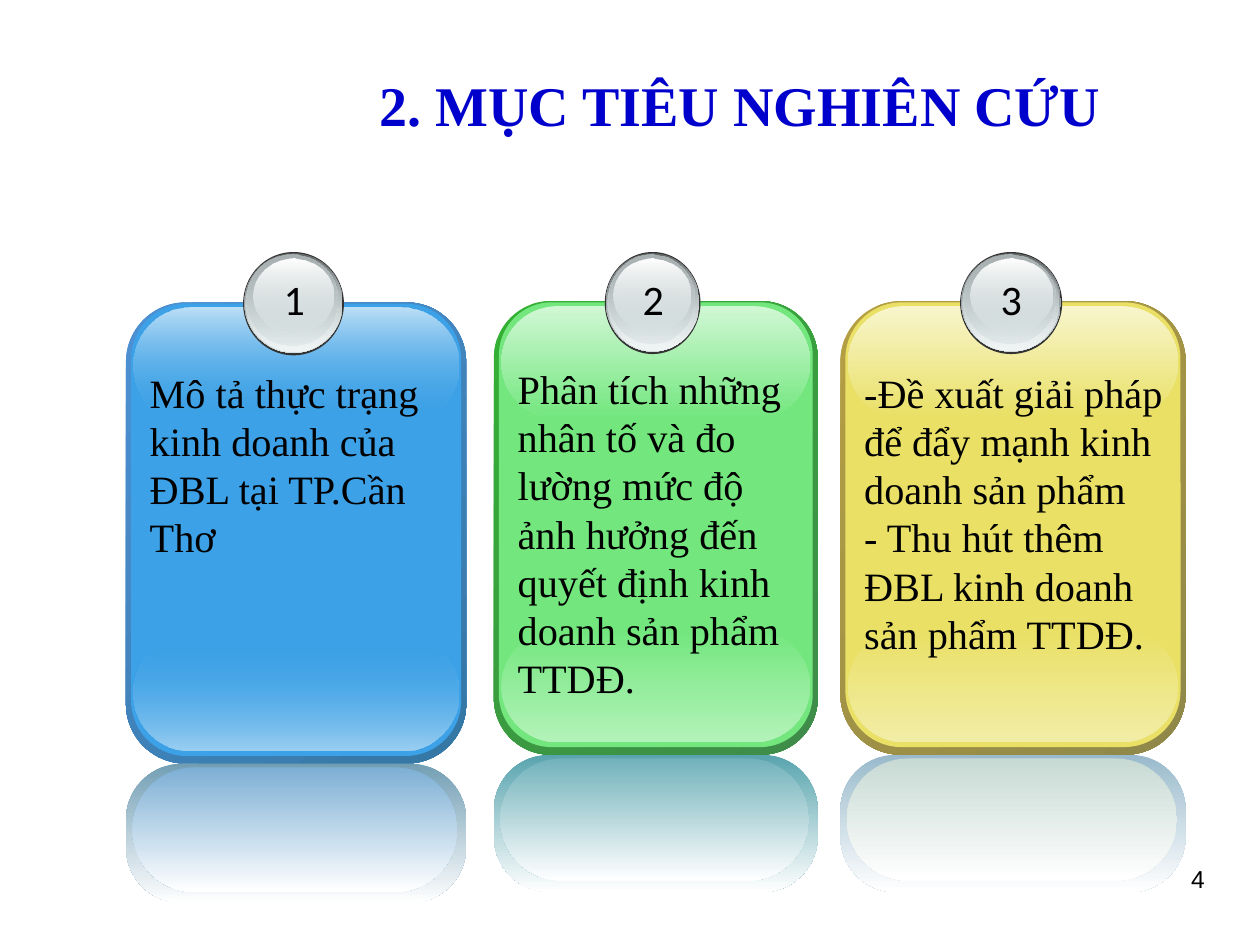
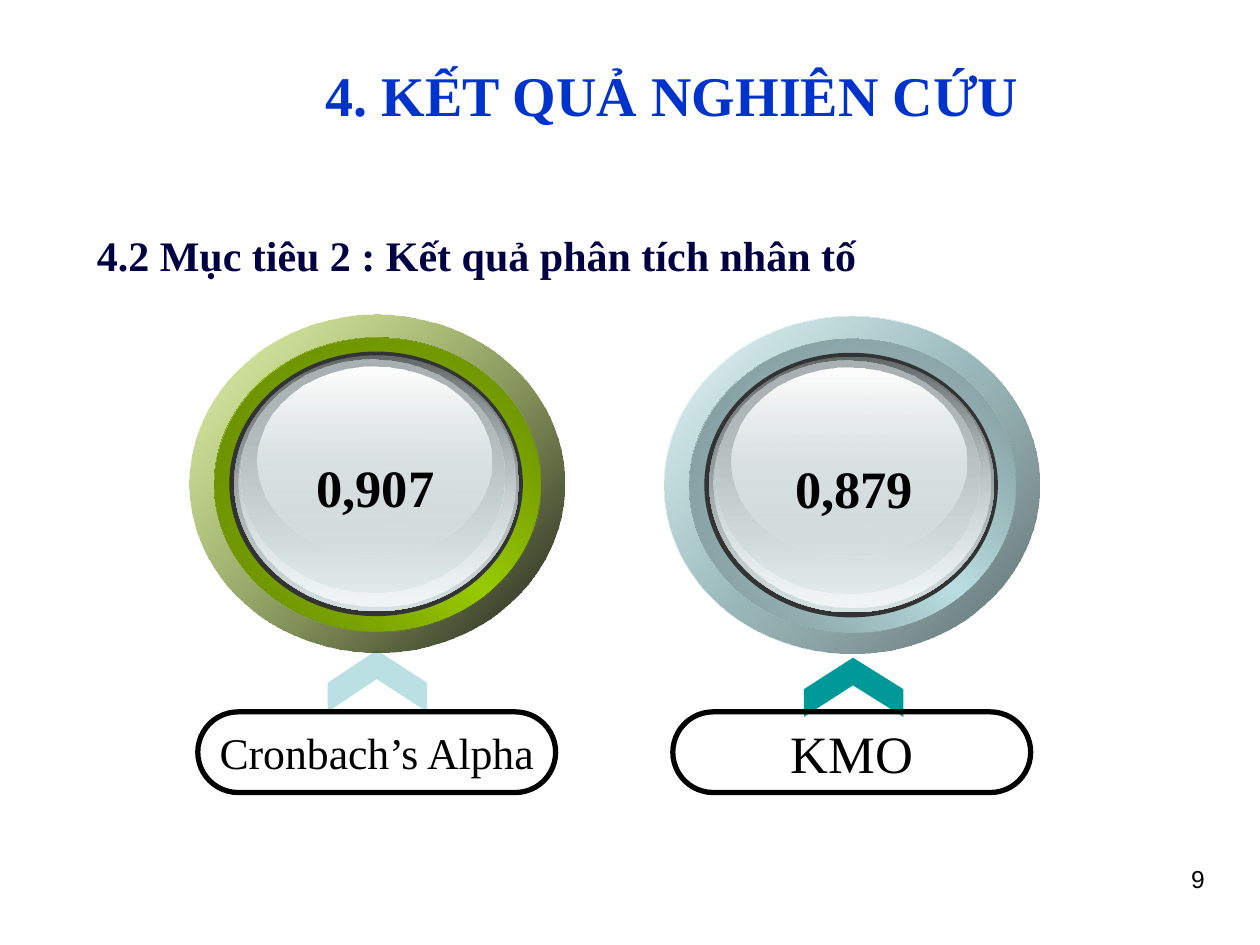
from lxml.etree import SubElement
from pptx import Presentation
from pptx.dml.color import RGBColor
from pptx.enum.shapes import MSO_SHAPE as Preset
from pptx.enum.text import MSO_ANCHOR as Anchor, MSO_AUTO_SIZE as AutoSize, PP_ALIGN as Align
from pptx.oxml.ns import qn
from pptx.util import Emu, Pt

PX = 9144
SERIF = "Times New Roman"
BLACK = "000000"
WHITE = "FFFFFF"
SILVER = "D6E1E2"
CHARCOAL = "333333"

ORB_LAYERS = [
    ((0, 0, 1, 1), CHARCOAL),
    ((0.017, 0.014, 0.97, 0.967), ["636869", SILVER]),
    ((0.03, 0.019, 0.944, 0.943), [(SILVER, 0), "F1F5F5"]),
    ((0.039, 0.029, 0.897, 0.881), ["AAB2B3", (SILVER, 48)]),
    ((0.094, 0.057, 0.798, 0.714), [WHITE, (SILVER, 38)]),
]

CARDS = [
    dict(
        box=(100, 240, 270, 366), orb=(193, 200, 80, 82), text_top=287, text_width=257,
        lines=["Mô tả thực trạng kinh doanh của ĐBL tại TP.Cần Thơ"],
        rim=["4E91D4", "3477A4"], face="3CA1E6", face_alpha=0,
        shine="BEE0F7", glow="9BCFF2", mirrors=("729EB4", "7DAFD4"),
    ),
    dict(
        box=(392, 239, 257, 360), orb=(480, 200, 76, 81), text_top=284, text_width=245,
        lines=["Phân tích những nhân tố và đo lường mức độ ảnh hưởng đến "
               "quyết định kinh doanh sản phẩm TTDĐ."],
        rim=["34B034", "3F8B4A"], face="73E77E", face_alpha=100,
        shine="D0F7D4", glow="B3F2B9", mirrors=("58A4AE", "72B2BB"),
    ),
    dict(
        box=(667, 239, 274, 360), orb=(762, 200, 81, 81), text_top=287, text_width=265,
        lines=["-Đề xuất giải pháp để đẩy mạnh kinh doanh sản phẩm",
               "- Thu hút thêm ĐBL kinh doanh sản phẩm TTDĐ."],
        rim=["B59F43", "8F8849"], face="E9E065", face_alpha=100,
        shine="F8F5CC", glow="F2EDA6", mirrors=("99BACC", "C8DAD4"),
    ),
]

GAUGES = [
    dict(
        left=150, top=250, value="0,907", value_center=298, label="Cronbach’s Alpha", label_size=25,
        chevron=(260, 516, 49, 23), chevron_color="BBE0E3",
        halos=[[("99CC00", 32), (BLACK, 90)]],
        bands=[["536E00", "99CC00", "536E00"], ["618200", ("99CC00", 0)]],
    ),
    dict(
        left=527, top=251, value="0,879", value_center=678, label="KMO", label_size=30,
        chevron=(638, 522, 47, 22), chevron_color="009999",
        halos=[[WHITE, "BBE0E3", WHITE], [("BBE0E3", 32), "576869"]],
        bands=[["65797B", "BBE0E3", "65797B"], ["778E90", ("BBE0E3", 0)]],
    ),
]


def color(value):
    return RGBColor.from_string(value)


def emu(*lengths):
    return [Emu(round(length) * PX) for length in lengths]


class Deck:
    def __init__(self):
        self.presentation = Presentation()
        self.presentation.slide_width, self.presentation.slide_height = emu(1000, 750)
        self.slide = None

    def add_slide(self, title, box, title_color, number):
        self.slide = self.presentation.slides.add_slide(self.presentation.slide_layouts[5])
        shape = self.slide.shapes.title
        shape.left, shape.top, shape.width, shape.height = emu(*box)
        self.set_text(shape, [title], 32, title_color, True, Align.CENTER, Anchor.MIDDLE)
        self.text((733, 681, 233, 61), [number], 14, align=Align.RIGHT, font="Arial")

    def set_text(self, shape, lines, size, text_color=BLACK, bold=False, align=Align.LEFT,
                 anchor=Anchor.TOP, font=SERIF, wrap=True):
        frame = shape.text_frame
        frame.text = "\n".join(lines)
        frame.word_wrap = wrap
        frame.auto_size = AutoSize.NONE
        frame.vertical_anchor = anchor
        for paragraph in frame.paragraphs:
            paragraph.alignment = align
            for run in paragraph.runs:
                run.font.name = font
                run.font.size = Pt(size)
                run.font.bold = bold
                run.font.color.rgb = color(text_color)

    def text(self, box, lines, size, **style):
        self.set_text(self.slide.shapes.add_textbox(*emu(*box)), lines, size, **style)

    def paint(self, shape, fill, angle=90):
        shape.shadow.inherit = False
        shape.line.fill.background()
        if fill is None:
            shape.fill.background()
        elif isinstance(fill, str):
            shape.fill.solid()
            shape.fill.fore_color.rgb = color(fill)
        else:
            shape.fill.gradient()
            shape.fill.gradient_angle = 360 - angle
            self.set_stops(shape, fill)

    def set_stops(self, shape, stops):
        stop_list = shape.element.spPr.find(".//" + qn("a:gsLst"))
        for old_stop in list(stop_list):
            stop_list.remove(old_stop)
        for index, stop in enumerate(stops):
            value, alpha = (stop, 100) if isinstance(stop, str) else stop
            position = 100000 * index // (len(stops) - 1)
            entry = SubElement(stop_list, qn("a:gs"), pos=str(position))
            tint = SubElement(entry, qn("a:srgbClr"), val=value)
            if alpha < 100:
                SubElement(tint, qn("a:alpha"), val=str(alpha * 1000))

    def ellipse(self, box, fill, angle=90):
        shape = self.slide.shapes.add_shape(Preset.OVAL, *emu(*box))
        self.paint(shape, fill, angle)

    def rounded(self, box, fill, radius=0.5, angle=90):
        shape = self.slide.shapes.add_shape(Preset.ROUNDED_RECTANGLE, *emu(*box))
        shape.adjustments[0] = radius
        self.paint(shape, fill, angle)
        return shape

    def orb(self, box):
        left, top, width, height = box
        for (x, y, w, h), fill in ORB_LAYERS:
            self.ellipse((left + x * width, top + y * height, w * width, h * height), fill)

    def chevron(self, box, fill):
        left, top, height, arm = box
        middle, right, bottom = left + 39, left + 79, top + height
        outline = self.slide.shapes.build_freeform(left, bottom, scale=PX)
        outline.add_line_segments([
            (left, bottom - arm), (middle, top), (right, bottom - arm),
            (right, bottom), (middle, top + arm),
        ])
        self.paint(outline.convert_to_shape(), fill)

    def card(self, number, box, orb, text_top, text_width, lines, rim, face, face_alpha,
             shine, glow, mirrors):
        left, top, width, height = box
        bottom = top + height
        gloss = round(height * 0.248)
        clear_face = (face, face_alpha)
        self.rounded(box, rim, 0.175, 45)
        self.rounded((left + 4, top + 1, width - 8, height - 7), face, 0.168)
        self.rounded((left + 6, bottom - 10 - gloss, width - 12, gloss), [clear_face, glow])
        self.rounded((left + 6, top + 4, width - 12, gloss), [shine, clear_face])
        self.rounded((left, bottom, width, height * 0.303), [mirrors[0], WHITE], 0.404)
        self.rounded((left + 5, bottom + 3, width - 12, height * 0.27), [mirrors[1], WHITE])
        self.orb(orb)
        self.text((orb[0] + orb[2] / 2 - 18, 212, 37, 50), [str(number)], 24,
                  align=Align.CENTER, font="Calibri", wrap=False)
        self.text((left + 9, text_top, text_width, 317), lines, 23)

    def gauge(self, left, top, value, value_center, label, label_size, chevron,
              chevron_color, halos, bands):
        self.chevron(chevron, chevron_color)
        for halo in halos:
            self.ellipse((left, top, 298, 268), halo, 45)
        for band, angle in zip(bands, (315, 45)):
            self.ellipse((left + 20, top + 18, 259, 233), band, angle)
        self.orb((left + 32, top + 29, 233, 210))
        self.text((value_center - 73, top + 106, 146, 60), [value], 30,
                  bold=True, align=Align.CENTER)
        pill = self.rounded((left + 7, 565, 284, 64), None)
        pill.line.color.rgb = color(BLACK)
        pill.line.width = Pt(3)
        self.set_text(pill, [label], label_size, align=Align.CENTER,
                      anchor=Anchor.MIDDLE, wrap=False)


def main():
    deck = Deck()

    deck.add_slide("2. MỤC TIÊU NGHIÊN CỨU", (200, 31, 775, 103), "0000CC", "4")
    for number, card in enumerate(CARDS, start=1):
        deck.card(number, **card)

    deck.add_slide("4. KẾT QUẢ NGHIÊN CỨU", (100, 23, 867, 103), "0033CC", "9")
    deck.text((67, 177, 833, 48), ["4.2 Mục tiêu 2 : Kết quả phân tích nhân tố"], 24,
              text_color="000042", bold=True)
    for gauge in GAUGES:
        deck.gauge(**gauge)

    deck.presentation.save("out.pptx")


if __name__ == "__main__":
    main()
